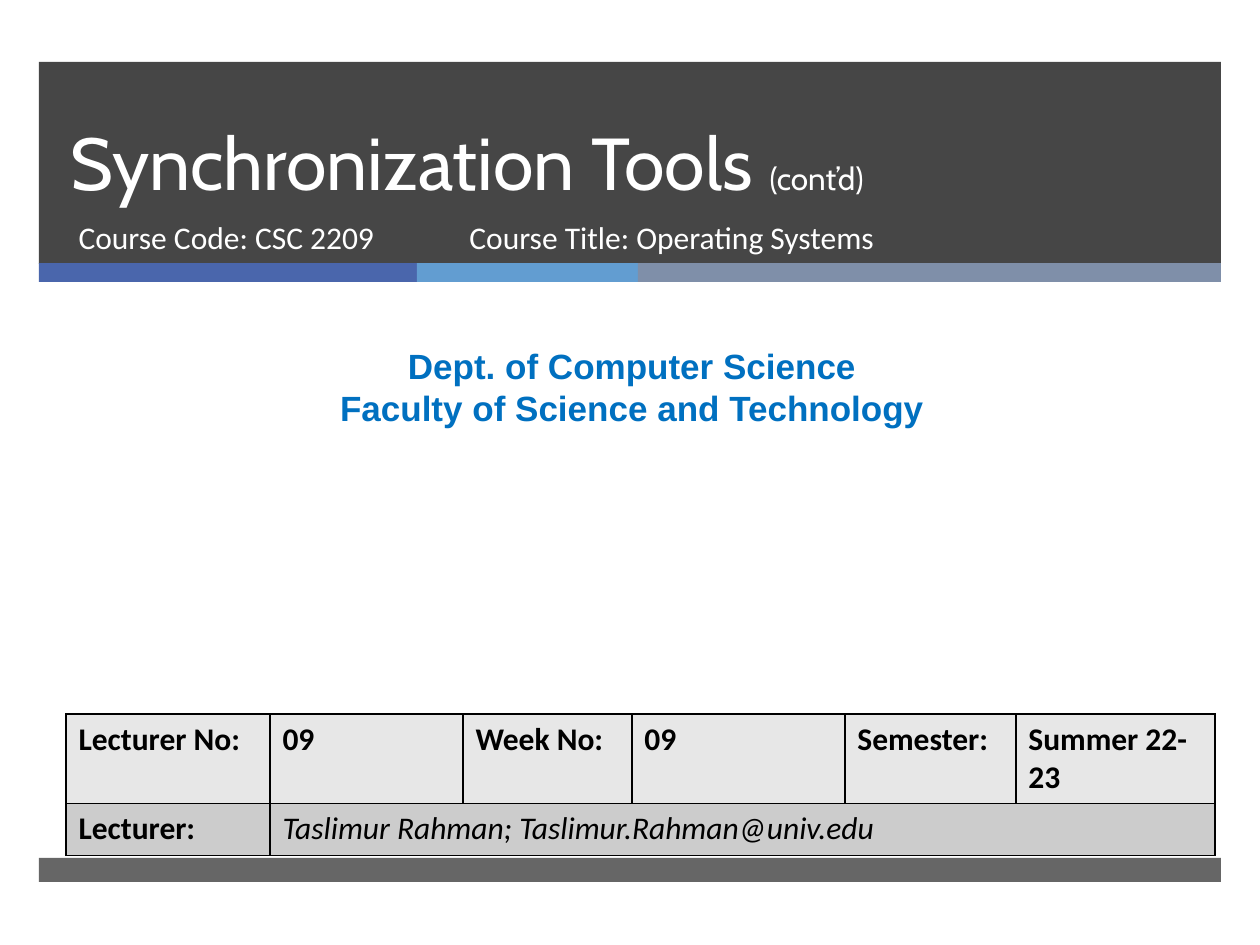
import pptx
import pptx.util
import pptx.dml.color
import pptx.enum.shapes
import pptx.enum.text
import pptx.oxml
import pptx.oxml.ns

# Content
TITLE = [("Synchronization Tools ", 42), ("(cont’d)", 18)]
CODE = "Course Code: CSC 2209"
COURSE = "Course Title: Operating Systems"
DEPT = ["Dept. of Computer Science", "Faculty of Science and Technology"]
ROWS = [
    ["Lecturer No:", "09", "Week No:", "09", "Semester:", "Summer 22-23"],
    ["Lecturer:", "Taslimur Rahman; Taslimur.Rahman@univ.edu"],
]
COLS = [204, 193, 169, 213, 171, 199]
HIGH = [88, 52]
COLOR = {"dark": "262626", "blue": "4A66AC", "sky": "629DD1", "slate": "7F8FA9",
         "white": "FFFFFF", "black": "000000", "dept": "0070C0",
         "head": "E7E7E7", "body": "CCCCCC"}

# Layout in px
LEFT, WIDE = 39, 1182
BANDS = [("dark", 62, 202, 85), ("dark", 858, 24, 70)]
STRIPS = [("blue", 378), ("sky", 221), ("slate", 583)]
STRIP_TOP, STRIP_HIGH = 263, 19

ALIGN = pptx.enum.text.PP_ALIGN
ANCHOR = pptx.enum.text.MSO_ANCHOR
FIT = pptx.enum.text.MSO_AUTO_SIZE


def px(n):
    return round(n * 914400 / 126)


def rgb(name):
    return pptx.dml.color.RGBColor.from_string(COLOR[name])


def place(shape, x, y, w, h):
    shape.left, shape.top, shape.width, shape.height = map(px, (x, y, w, h))


def add_run(para, text, size, font, color, bold=False, italic=False):
    run = para.add_run()
    run.text = text
    face = run.font
    face.size = pptx.util.Pt(size)
    face.name, face.bold, face.italic = font, bold, italic
    face.color.rgb = rgb(color)


def add_bar(color, x, y, w, h, alpha=100):
    bar = slide.shapes.add_shape(pptx.enum.shapes.MSO_SHAPE.RECTANGLE,
                                 px(x), px(y), px(w), px(h))
    bar.shadow.inherit = False
    bar.line.fill.background()
    bar.fill.solid()
    bar.fill.fore_color.rgb = rgb(color)
    if alpha < 100:
        tone = bar.fill._xPr.find(".//" + pptx.oxml.ns.qn("a:srgbClr"))
        node = pptx.oxml.parse_xml(
            f'<a:alpha {pptx.oxml.ns.nsdecls("a")} val="{alpha * 1000}"/>')
        tone.append(node)


def set_frame(shape, anchor=ANCHOR.TOP):
    frame = shape.text_frame
    frame.word_wrap = True
    frame.auto_size = FIT.NONE
    frame.vertical_anchor = anchor
    para = frame.paragraphs[0]
    para.alignment = ALIGN.LEFT
    para.space_before = pptx.util.Pt(0)
    return para


def add_edges(cell):
    props = cell._tc.get_or_add_tcPr()
    for side in "LRTB":
        props.append(pptx.oxml.parse_xml(
            f'<a:ln{side} {pptx.oxml.ns.nsdecls("a")} w="12700"><a:solidFill>'
            f'<a:srgbClr val="{COLOR["black"]}"/></a:solidFill></a:ln{side}>'))


deck = pptx.Presentation()
deck.slide_width, deck.slide_height = px(1260), px(945)
slide = deck.slides.add_slide(deck.slide_layouts[0])

# Bands and colour strips
for color, y, h, alpha in BANDS:
    add_bar(color, LEFT, y, WIDE, h, alpha)
x = LEFT
for color, w in STRIPS:
    add_bar(color, x, STRIP_TOP, w, STRIP_HIGH)
    x += w

# Title and subtitle, brought in front of the bands
title, sub = slide.placeholders
for holder in (title, sub):
    slide.shapes._spTree.append(holder._element)
place(title, 58, 62, 1076, 150)
para = set_frame(title, ANCHOR.BOTTOM)
para.line_spacing = pptx.util.Pt(46)
for text, size in TITLE:
    add_run(para, text, size, "Cabin", "white")
place(sub, 66, 212, 384, 67)
add_run(set_frame(sub), CODE, 18, "Calibri", "white")

# Course title
box = slide.shapes.add_textbox(px(457), px(212), px(573), px(67))
add_run(set_frame(box), COURSE, 18, "Calibri", "white")

# Department
box = slide.shapes.add_textbox(px(10), px(338), px(1244), px(97))
para = set_frame(box)
for i, text in enumerate(DEPT):
    if i:
        para = box.text_frame.add_paragraph()
    para.alignment = ALIGN.CENTER
    add_run(para, text, 20, "Arial", "dept", bold=True)

# Lecture table
table = slide.shapes.add_table(len(ROWS), len(COLS), px(66), px(714),
                               px(sum(COLS)), px(sum(HIGH))).table
for col, w in zip(table.columns, COLS):
    col.width = px(w)
for r, (row, h, color) in enumerate(zip(ROWS, HIGH, ("head", "body"))):
    table.rows[r].height = px(h)
    for c in range(len(COLS)):
        cell = table.cell(r, c)
        add_edges(cell)
        cell.fill.solid()
        cell.fill.fore_color.rgb = rgb(color)
    for c, text in enumerate(row):
        name = r == 1 and c == 1
        add_run(table.cell(r, c).text_frame.paragraphs[0], text, 18,
                "Calibri", "black", bold=not name, italic=name)
table.cell(1, 1).merge(table.cell(1, len(COLS) - 1))

deck.save("out.pptx")
